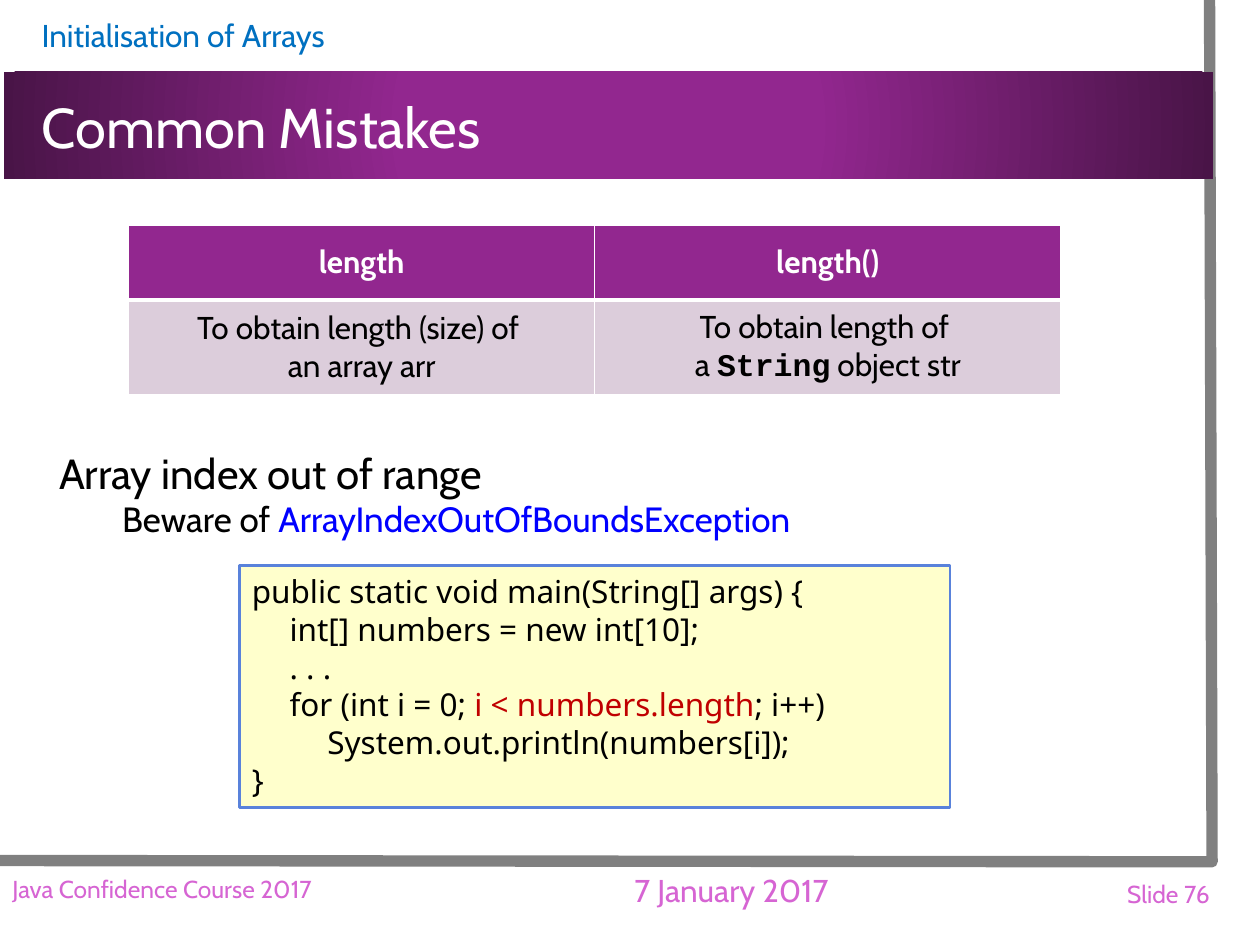
from lxml import etree
from pptx import Presentation
from pptx.dml.color import RGBColor
from pptx.enum.shapes import MSO_SHAPE
from pptx.enum.text import MSO_ANCHOR, PP_ALIGN
from pptx.oxml.ns import qn
from pptx.util import Inches, Pt

RECT = MSO_SHAPE.RECTANGLE
TOP, MIDDLE = MSO_ANCHOR.TOP, MSO_ANCHOR.MIDDLE
LEFT, CENTER, RIGHT = PP_ALIGN.LEFT, PP_ALIGN.CENTER, PP_ALIGN.RIGHT

COLORS = {
    "white": "FFFFFF", "black": "000000", "gray": "808080",
    "purple": "92278F", "dark_purple": "491447", "lilac": "DCCDDB",
    "pink": "D665D3", "sky": "0070C0", "blue": "0000FF", "red": "C00000",
    "cream": "FFFFCC", "outline": "5982DB",
}
FONT, CODE_FONT, MONO = "Cabin", "Noto Sans", "Courier New"

# Each run is (text, color or None, font or None)
# box, text, size, color, alignment, left inset
LABELS = [
    ((0.03, 0.08, 9.6, 0.4), "Initialisation of Arrays", 18, "sky", LEFT, 0.3),
    ((0.03, 0.58, 9.6, 0.84), "Common Mistakes", 32, "white", LEFT, 0.3),
    ((4.23, 6.85, 3.15, 0.43), "7 January 2017", 18, "pink", CENTER, 0.1),
    ((0, 6.85, 4.23, 0.41), "Java Confidence Course 2017", 14, "pink", LEFT, 0.1),
    ((7.39, 6.86, 2.31, 0.47), "Slide 76", 14, "pink", RIGHT, 0.1),
]
HEADER = [[("length", None, None)], [("length()", None, None)]]
USES = [
    [("To obtain length (size) of \nan array arr", None, None)],
    [("To obtain length of \na ", None, None), ("String", None, MONO),
     (" object str", None, None)],
]
# rows: runs, fill, text color, bold, height, top and bottom border
TABLE_ROWS = [
    (HEADER, "purple", "white", True, 0.59, 1, 3),
    (USES, "lilac", "black", False, 0.75, 3, 1),
]
COLUMN_WIDTH = 3.7
# indent level, runs
CODE = [
    (0, [("public static void main(String[] args) {", None, None)]),
    (1, [("int[] numbers = new int[10];", None, None)]),
    (1, [(". . .", None, None)]),
    (1, [("for (int i = 0; ", None, None), ("i < numbers.length", "red", None),
         ("; i++)", None, None)]),
    (2, [("System.out.println(numbers[i]);", None, None)]),
    (0, [("}", None, None)]),
]
CODE_INDENT = 0.3


def rgb(name):
    return RGBColor.from_string(COLORS[name])


def inches(box):
    return [Inches(v) for v in box]


def write(p, runs, size, color, font=FONT, align=LEFT, bold=False, indent=0):
    p.alignment = align
    p.font.size, p.font.name, p.font.bold = Pt(size), font, bold
    p.font.color.rgb = rgb(color)
    if indent:
        p._p.get_or_add_pPr().set("marL", str(Inches(indent)))
    for text, run_color, run_font in runs:
        for i, line in enumerate(text.split("\n")):
            if i:
                p.add_line_break()
            r = p.add_run()
            r.text = line
            if run_color:
                r.font.color.rgb = rgb(run_color)
            if run_font:
                r.font.name, r.font.bold = run_font, True


def add_rect(slide, box, fill=None):
    sp = slide.shapes.add_shape(RECT, *inches(box))
    sp.shadow.inherit = False
    sp.line.fill.background()
    if fill:
        sp.fill.solid()
        sp.fill.fore_color.rgb = rgb(fill)
    return sp


def add_text_box(slide, box, anchor=TOP, inset=0.1):
    tf = slide.shapes.add_textbox(*inches(box)).text_frame
    tf.word_wrap = True
    tf.vertical_anchor = anchor
    tf.margin_left = Inches(inset)
    return tf


def add_frame(slide):
    add_rect(slide, (0.03, 0, 9.83, 7.27), "white")
    builder = slide.shapes.build_freeform(Inches(9.6), 0)
    builder.add_line_segments(
        [inches((9.62, 6.84)), inches((-0.02, 6.83))], close=False)
    edge = builder.convert_to_shape()
    edge.shadow.inherit = False
    edge.fill.background()
    edge.line.color.rgb = rgb("gray")
    edge.line.width = Pt(6.5)


def add_banner(slide):
    """Title band with a radial gradient from its centre."""
    banner = add_rect(slide, (0.03, 0.57, 9.6, 0.85))
    banner.fill.gradient()
    stops = zip(banner.fill.gradient_stops, (0.34, 1), ("purple", "dark_purple"))
    for stop, position, color in stops:
        stop.position = position
        stop.color.rgb = rgb(color)
    grad = banner._element.spPr.find(qn("a:gradFill"))
    grad.remove(grad.find(qn("a:lin")))
    radial = etree.SubElement(grad, qn("a:path"), path="circle")
    etree.SubElement(radial, qn("a:fillToRect"),
                     {side: "50000" for side in "ltrb"})


def set_borders(cell, top, bottom):
    tc_pr = cell._tc.get_or_add_tcPr()
    for side, width in (("L", 1), ("R", 1), ("T", top), ("B", bottom)):
        ln = etree.SubElement(tc_pr, qn(f"a:ln{side}"), w=str(Pt(width)))
        fill = etree.SubElement(ln, qn("a:solidFill"))
        etree.SubElement(fill, qn("a:srgbClr"), val=COLORS["white"])


def add_length_table(slide):
    heights = [row[4] for row in TABLE_ROWS]
    columns = len(HEADER)
    table = slide.shapes.add_table(
        len(TABLE_ROWS), columns,
        *inches((1.02, 1.79, columns * COLUMN_WIDTH, sum(heights)))).table
    for y, (cells, fill, color, bold, height, top, bottom) in enumerate(TABLE_ROWS):
        table.rows[y].height = Inches(height)
        for x, runs in enumerate(cells):
            cell = table.cell(y, x)
            set_borders(cell, top, bottom)
            cell.fill.solid()
            cell.fill.fore_color.rgb = rgb(fill)
            cell.vertical_anchor = MIDDLE
            write(cell.text_frame.paragraphs[0], runs, 18, color,
                  align=CENTER, bold=bold)


def add_range_warning(slide):
    tf = add_text_box(slide, (0.37, 3.5, 8.71, 0.84))
    p = tf.paragraphs[0]
    p.space_before = Pt(6)
    write(p, [("Array index out of range", None, None)], 24, "black")
    write(tf.add_paragraph(),
          [("Beware of ", None, None),
           ("ArrayIndexOutOfBoundsException", "blue", None)],
          20, "black", indent=0.5)


def add_code(slide):
    sp = add_rect(slide, (1.9, 4.49, 5.64, 1.92), "cream")
    sp.line.color.rgb = rgb("outline")
    sp.line.width = Pt(1.5)
    tf = sp.text_frame
    tf.word_wrap = True
    tf.vertical_anchor = TOP
    for i, (level, runs) in enumerate(CODE):
        p = tf.add_paragraph() if i else tf.paragraphs[0]
        write(p, runs, 18, "black", CODE_FONT, indent=level * CODE_INDENT)


def main():
    prs = Presentation()
    prs.slide_width, prs.slide_height = Inches(10), Inches(7.5)
    slide = prs.slides.add_slide(prs.slide_layouts[6])
    add_frame(slide)
    add_banner(slide)
    for box, text, size, color, align, inset in LABELS:
        tf = add_text_box(slide, box, MIDDLE, inset)
        write(tf.paragraphs[0], [(text, None, None)], size, color, align=align)
    add_length_table(slide)
    add_range_warning(slide)
    add_code(slide)
    prs.save("out.pptx")


if __name__ == "__main__":
    main()
